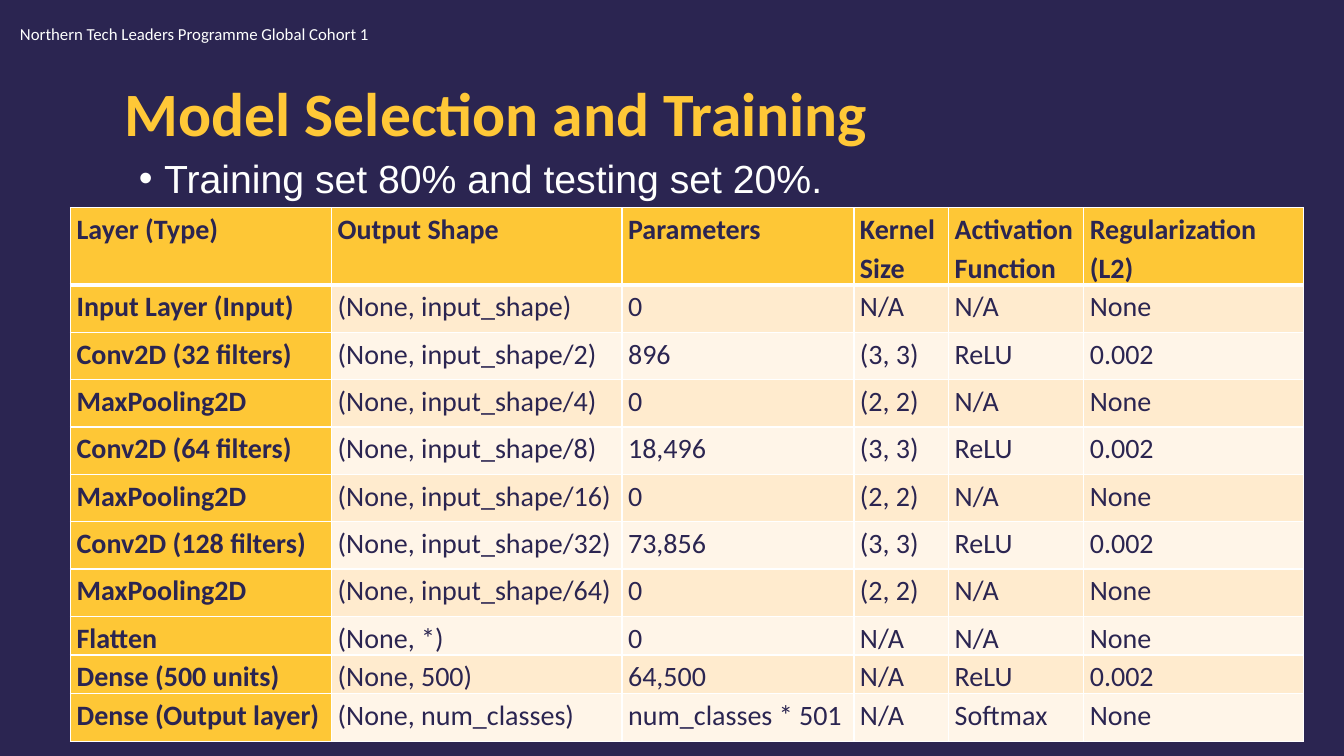
"""Build the model selection and training slide with its layer table."""
from lxml.etree import SubElement
from pptx import Presentation
from pptx.dml.color import RGBColor
from pptx.enum.text import MSO_ANCHOR, PP_ALIGN
from pptx.oxml.ns import qn
from pptx.util import Inches, Pt

NAVY, GOLD, WHITE = "2B2551", "FFC837", "FEFFFE"
HEADER_GOLD, BANDS = "FEC736", ("FFF5E8", "FFEBCE")


def paint(color_format, color):
    color_format.rgb = RGBColor.from_string(color)


def write(frame, text, size, color, font="Calibri", bold=False, **paragraph_format):
    frame.word_wrap = True
    paragraph = frame.paragraphs[0]
    for name, value in paragraph_format.items():
        setattr(paragraph, name, value)
    run = paragraph.add_run()
    run.text = text
    for name, value in {"name": font, "size": Pt(size), "bold": bold}.items():
        setattr(run.font, name, value)
    paint(run.font.color, color)
    return paragraph


deck = Presentation()
deck.slide_width, deck.slide_height = Inches(13.33), Inches(7.5)
slide = deck.slides.add_slide(deck.slide_layouts[6])
background = slide.background.fill
background.solid()
paint(background.fore_color, NAVY)

title = slide.shapes.add_textbox(Inches(1.14), Inches(0.65), Inches(11.06), Inches(1.01)).text_frame
title.vertical_anchor = MSO_ANCHOR.MIDDLE
write(title, "Model Selection and Training", 44, GOLD, bold=True, line_spacing=0.9)

programme = slide.shapes.add_textbox(Inches(0.1), Inches(0.19), Inches(5.54), Inches(0.3)).text_frame
write(programme, "Northern Tech Leaders Programme Global Cohort 1", 12, WHITE)

split = slide.shapes.add_textbox(Inches(1.28), Inches(1.48), Inches(11.06), Inches(0.57)).text_frame
split.vertical_anchor = MSO_ANCHOR.MIDDLE
split_line = write(split, "Training set 80% and testing set 20%.", 28, WHITE, "Arial",
                   alignment=PP_ALIGN.JUSTIFY)
bullet_format = split_line._p.get_or_add_pPr()
bullet_format.set("marL", str(Inches(0.25)))
bullet_format.set("indent", str(-Inches(0.25)))
SubElement(bullet_format, qn("a:buFont"), typeface="Arial")
SubElement(bullet_format, qn("a:buChar"), char="•")

layers = [
    ("Layer (Type)", "Output Shape", "Parameters", "Kernel Size", "Activation Function",
     "Regularization (L2)"),
    ("Input Layer (Input)", "(None, input_shape)", "0", "N/A", "N/A", "None"),
    ("Conv2D (32 filters)", "(None, input_shape/2)", "896", "(3, 3)", "ReLU", "0.002"),
    ("MaxPooling2D", "(None, input_shape/4)", "0", "(2, 2)", "N/A", "None"),
    ("Conv2D (64 filters)", "(None, input_shape/8)", "18,496", "(3, 3)", "ReLU", "0.002"),
    ("MaxPooling2D", "(None, input_shape/16)", "0", "(2, 2)", "N/A", "None"),
    ("Conv2D (128 filters)", "(None, input_shape/32)", "73,856", "(3, 3)", "ReLU", "0.002"),
    ("MaxPooling2D", "(None, input_shape/64)", "0", "(2, 2)", "N/A", "None"),
    ("Flatten", "(None, *)", "0", "N/A", "N/A", "None"),
    ("Dense (500 units)", "(None, 500)", "64,500", "N/A", "ReLU", "0.002"),
    ("Dense (Output layer)", "(None, num_classes)", "num_classes * 501", "N/A", "Softmax", "None"),
]
column_widths = [2.59, 2.88, 2.3, 0.94, 1.34, 2.18]
row_heights = [0.31] + [0.47] * 7 + [0.15, 0.31, 0.47]
layer_table = slide.shapes.add_table(len(layers), len(column_widths), Inches(0.7), Inches(2.06),
                                     Inches(12.23), Inches(5.25)).table
for column, width in zip(layer_table.columns, column_widths):
    column.width = Inches(width)
for row, height in zip(layer_table.rows, row_heights):
    row.height = Inches(height)

for r, layer in enumerate(layers):
    for c, text in enumerate(layer):
        cell = layer_table.cell(r, c)
        heading = r == 0 or c == 0
        margins = {"margin_left": 0.06, "margin_right": 0.06, "margin_top": 0, "margin_bottom": 0}
        for name, value in margins.items():
            setattr(cell, name, Inches(value))
        cell_format = cell._tc.get_or_add_tcPr()
        for side in "LRTB":
            thick = (r, side) in ((0, "B"), (1, "T"))
            border = SubElement(cell_format, qn(f"a:ln{side}"), w=str(Pt(3 if thick else 1)))
            SubElement(SubElement(border, qn("a:solidFill")), qn("a:srgbClr"), val="FFFFFF")
        cell.fill.solid()
        paint(cell.fill.fore_color, HEADER_GOLD if heading else BANDS[r % 2])
        write(cell.text_frame, text, 20, NAVY, bold=heading, line_spacing=1.15, space_after=Pt(10))

deck.save("out.pptx")
